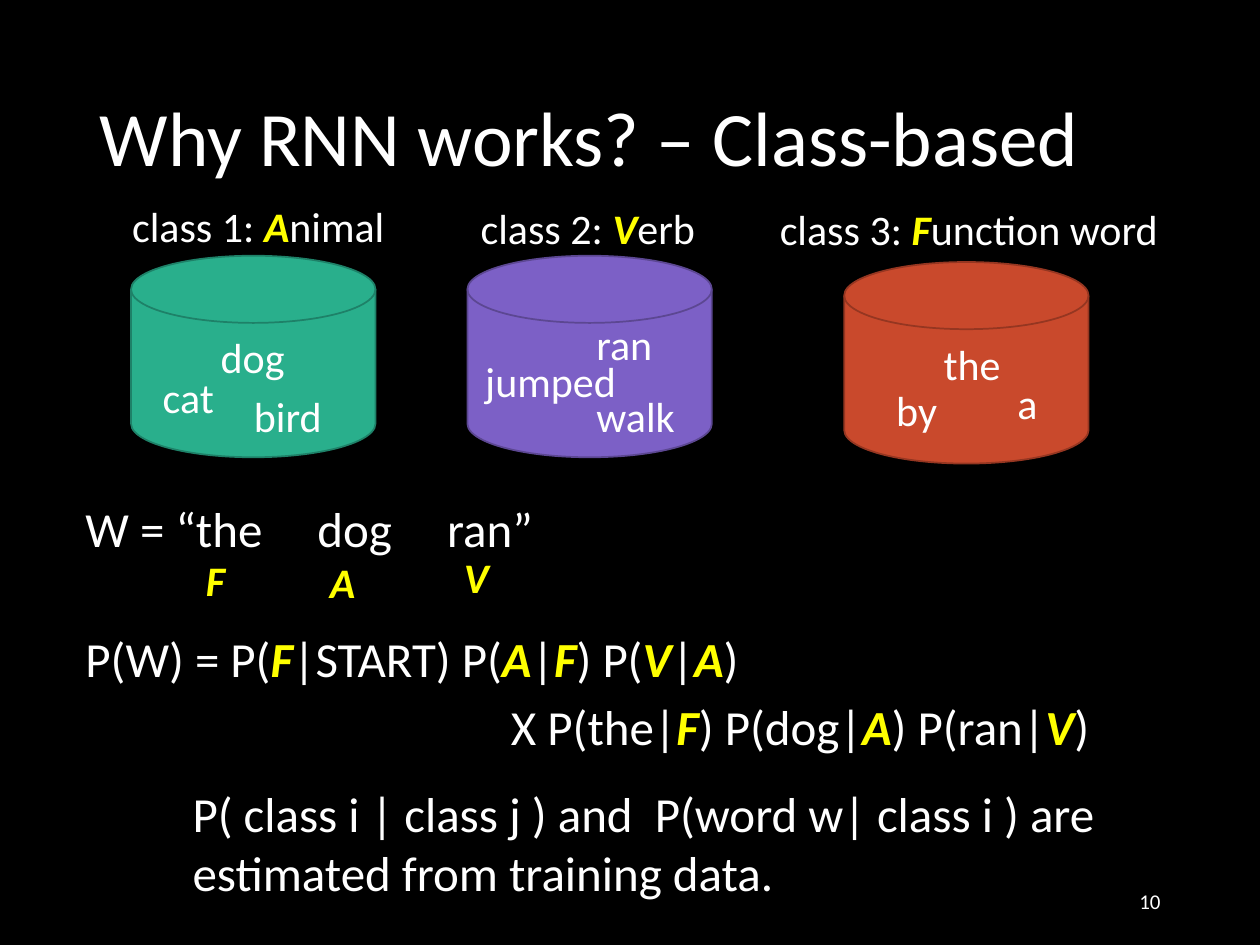
"""Build a slide on why class-based recurrent language models work."""
from lxml import etree
from pptx import Presentation, util as u
from pptx.dml.color import RGBColor
from pptx.enum import shapes, text
from pptx.oxml.ns import qn

HUES = {
    "back": "000000", "text": "FFFFFF", "mark": "FFFF00",
    "animal": "29AF8C", "animal_rim": "1E8168",
    "verb": "7C60C6", "verb_rim": "5C4792",
    "function": "C9492C", "function_rim": "953621",
}
COLS, ROWS = 100, 75
WIDTH, HEIGHT = u.Inches(10), u.Inches(7.5)
LEFT, MID, RIGHT = text.PP_ALIGN.LEFT, text.PP_ALIGN.CENTER, text.PP_ALIGN.RIGHT
DRUM = (19.4, 16)
WORD = 9.7

CLASSES = [
    ("animal", 10.4, 20.3, ("class 1: *A*nimal", 9.5, 15.4, 23.9, LEFT),
     [("dog", 9.65, 5.5, WORD), ("cat", 4.55, 8.7, WORD), ("bird", 12.45, 10.2, WORD)]),
    ("verb", 37.1, 20.3, ("class 2: *V*erb", 36.2, 15.6, 20.9, MID),
     [("ran", 12.45, 4.5, WORD), ("jumped", 6.6, 7.4, 14.4), ("walk", 13.35, 10.2, WORD)]),
    ("function", 67, 20.8, ("class 3: *F*unction word", 60.9, 15.7, 34.5, LEFT),
     [("the", 10.15, 5.6, WORD), ("by", 5.75, 9.2, WORD), ("a", 14.55, 8.7, WORD)]),
]
TAGS = [("F", 10.7, 43.5), ("A", 20.8, 43.7), ("V", 31.4, 43.3)]
LINES = [
    ("P(W) = P(*F*|START) P(*A*|*F*) P(*V*|*A*)", 5.8, 49.4, 95.6, 5.7, LEFT),
    ("X P(the|*F*) P(dog|*A*) P(ran|*V*)", 36.8, 54.8, 53.4, 5.7, MID),
    ("P( class i | class j ) and  P(word w| class i ) are estimated from training data.",
     14.3, 61.7, 78.5, 10.4, LEFT),
]


def hue(name):
    """Return a named colour."""
    return RGBColor.from_string(HUES[name])


def place(col, row, wide, high):
    """Turn grid cells into left, top, width and height."""
    return (int(WIDTH * col / COLS), int(HEIGHT * row / ROWS),
            int(WIDTH * wide / COLS), int(HEIGHT * high / ROWS))


def write(para, words, size, align):
    """Fill a paragraph, with the parts between stars marked."""
    para.alignment = align
    for i, part in enumerate(words.split("*")):
        if part:
            run = para.add_run()
            run.text = part
            font = run.font
            font.name, font.size = "Calibri", u.Pt(size)
            font.bold = font.italic = i % 2 == 1
            font.color.rgb = hue("mark" if i % 2 else "text")


def add_text(slide, words, cells, size, align=LEFT):
    """Add a wrapped text box and return its frame."""
    frame = slide.shapes.add_textbox(*place(*cells)).text_frame
    frame.word_wrap = True
    frame.auto_size = text.MSO_AUTO_SIZE.SHAPE_TO_FIT_TEXT
    write(frame.paragraphs[0], words, size, align)
    return frame


def set_tabs(para, stops):
    """Give a paragraph left tab stops, in grid columns."""
    tabs = etree.SubElement(para._p.get_or_add_pPr(), qn("a:tabLst"))
    for stop in stops:
        etree.SubElement(tabs, qn("a:tab"), pos=str(int(WIDTH * stop / COLS)), algn="l")


def add_title(slide, words):
    """Place and fill the title placeholder."""
    title = slide.shapes.title
    title.left, title.top, title.width, title.height = place(6.9, 4, 86.2, 14.5)
    frame = title.text_frame
    frame.vertical_anchor = text.MSO_ANCHOR.MIDDLE
    write(frame.paragraphs[0], words, 44, LEFT)
    frame.paragraphs[0].line_spacing = 0.9


def add_class(slide, name, col, row, label, words):
    """Add a labelled drum holding the words of one class."""
    drum = slide.shapes.add_shape(
        shapes.MSO_SHAPE.FLOWCHART_MAGNETIC_DISK, *place(col, row, *DRUM))
    drum.shadow.inherit = False
    drum.fill.solid()
    drum.fill.fore_color.rgb = hue(name)
    drum.line.color.rgb = hue(name + "_rim")
    drum.line.width = u.Pt(1)
    head, left, top, wide, align = label
    add_text(slide, head, (left, top, wide, 5), 24, align)
    for word, mid, down, wide in words:
        add_text(slide, word, (col + mid - wide / 2, row + down, wide, 5), 24, MID)


def main():
    """Build and save the slide."""
    deck = Presentation()
    deck.slide_width, deck.slide_height = WIDTH, HEIGHT
    slide = deck.slides.add_slide(deck.slide_layouts[5])
    slide.background.fill.solid()
    slide.background.fill.fore_color.rgb = hue("back")
    add_title(slide, "Why RNN works? – Class-based")
    for group in CLASSES:
        add_class(slide, *group)
    frame = add_text(slide, "W = “the\tdog\tran”", (5.8, 39.1, 46.5, 5.7), 28)
    set_tabs(frame.paragraphs[0], (18.4, 28.7))
    for tag, col, row in TAGS:
        add_text(slide, f"*{tag}*", (col, row, 12.8, 5), 24, MID)
    for words, *cells, align in LINES:
        add_text(slide, words, cells, 28, align)
    page = add_text(slide, "10", (70.6, 69.5, 22.5, 4), 12, RIGHT)
    page.auto_size = text.MSO_AUTO_SIZE.NONE
    page.vertical_anchor = text.MSO_ANCHOR.MIDDLE
    deck.save("out.pptx")


if __name__ == "__main__":
    main()
